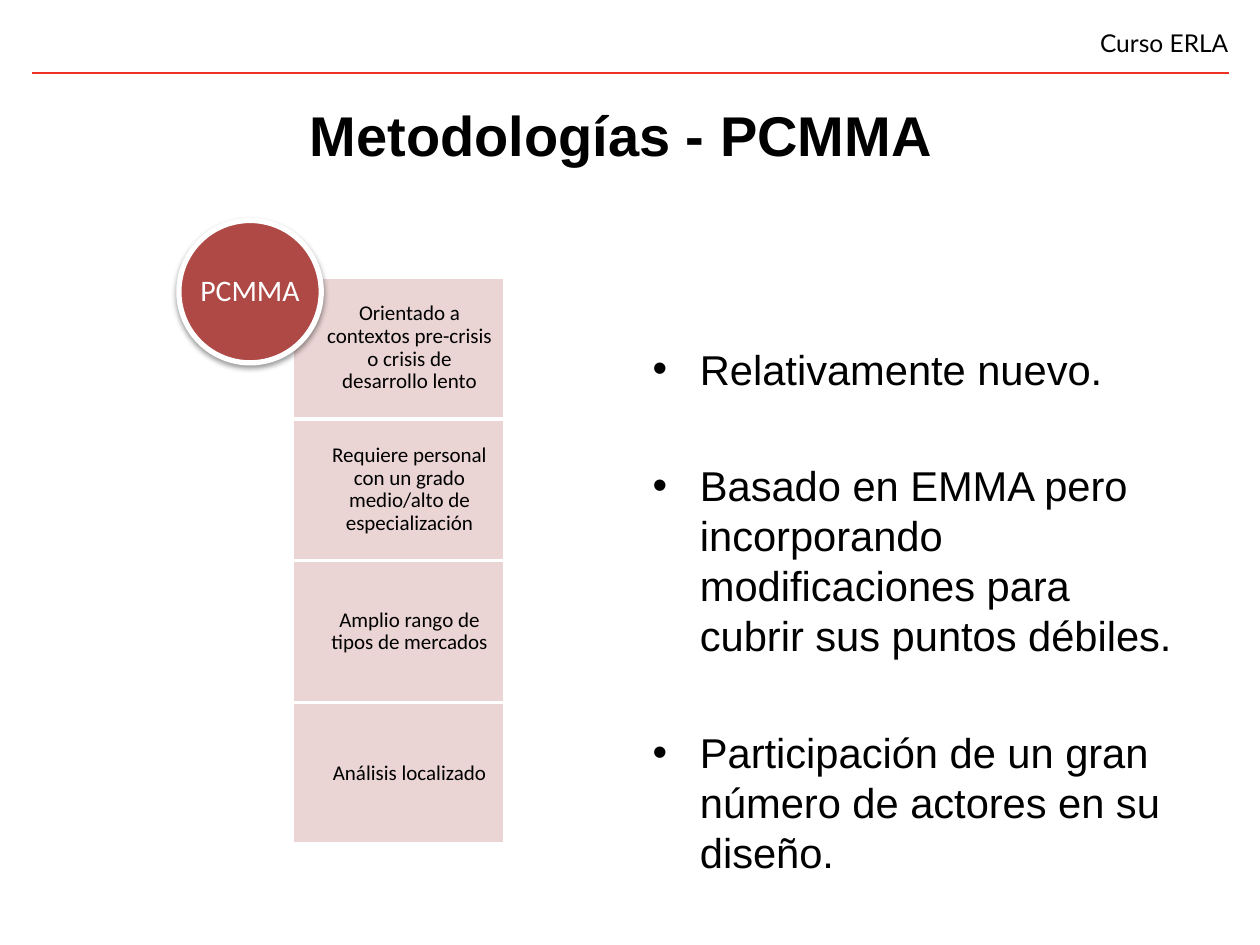
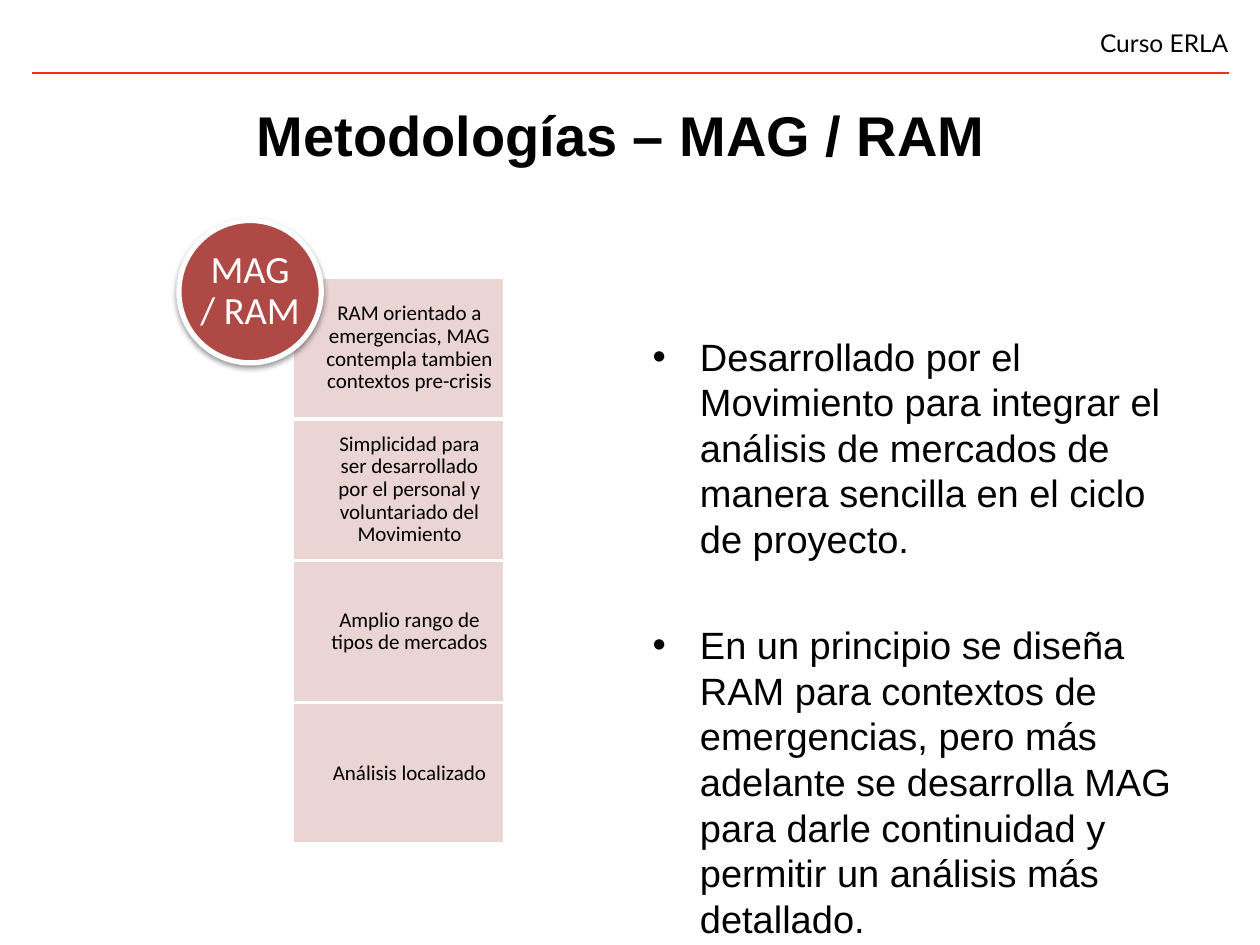
from pptx import Presentation
from pptx.dml.color import RGBColor
from pptx.enum.shapes import MSO_CONNECTOR, MSO_SHAPE
from pptx.enum.text import MSO_ANCHOR, MSO_AUTO_SIZE, PP_ALIGN
from pptx.oxml.ns import qn
from pptx.util import Inches, Pt
from lxml.etree import SubElement

BLACK = RGBColor(0x00, 0x00, 0x00)
WHITE = RGBColor(0xFF, 0xFF, 0xFF)
RED = RGBColor(0xEE, 0x31, 0x24)
BRICK = RGBColor(0xAE, 0x49, 0x46)
PINK = RGBColor(0xE8, 0xD0, 0xD0)

STACK_TOP = 2.2
STEP = 1.125

SLIDES = [
    {
        "title": "Metodologías - PCMMA",
        "badge": ("PCMMA", 17),
        "traits": [
            "Orientado a contextos pre-crisis o crisis de desarrollo lento",
            "Requiere personal con un grado medio/alto de especialización",
            "Amplio rango de tipos de mercados",
            "Análisis localizado",
        ],
        "size": 23.8,
        "points": [
            "Relativamente nuevo.",
            "Basado en EMMA pero incorporando modificaciones para cubrir "
            "sus puntos débiles.",
            "Participación de un gran número de actores en su diseño.",
        ],
    },
    {
        "title": "Metodologías – MAG / RAM",
        "badge": ("MAG / RAM", 22),
        "traits": [
            "RAM orientado a emergencias, MAG contempla tambien contextos "
            "pre-crisis",
            "Simplicidad para ser desarrollado por el personal y voluntariado "
            "del Movimiento",
            "Amplio rango de tipos de mercados",
            "Análisis localizado",
        ],
        "size": 21.7,
        "points": [
            "Desarrollado por el Movimiento para integrar el análisis de "
            "mercados de manera sencilla en el ciclo de proyecto.",
            "En un principio se diseña RAM para contextos de emergencias, pero "
            "más adelante se desarrolla MAG para darle continuidad y permitir "
            "un análisis más detallado.",
        ],
    },
]


def place(shape, left, top, width, height):
    shape.left, shape.top = Inches(left), Inches(top)
    shape.width, shape.height = Inches(width), Inches(height)


def inset(frame, left, top, right, bottom):
    frame.margin_left, frame.margin_top = Inches(left), Inches(top)
    frame.margin_right, frame.margin_bottom = Inches(right), Inches(bottom)


def style(para, name, size, color=BLACK, align=None, bold=None):
    para.alignment = align
    font = para.font
    font.name, font.size, font.bold = name, Pt(size), bold
    font.color.rgb = color


def add_header(slide):
    rule = slide.shapes.add_connector(
        MSO_CONNECTOR.STRAIGHT,
        Inches(9.75), Inches(0.58), Inches(0.25), Inches(0.58))
    rule.line.color.rgb = RED
    rule.line.width = Pt(1.5)
    SubElement(rule._element.spPr, qn("a:effectLst"))

    box = slide.shapes.add_textbox(
        Inches(4.5), Inches(0.17), Inches(5.25), Inches(0.33))
    frame = box.text_frame
    frame.word_wrap = True
    inset(frame, 0, 0.05, 0, 0.05)
    frame.text = "Curso ERLA"
    style(frame.paragraphs[0], "Lato", 14, align=PP_ALIGN.RIGHT)


def add_title(slide, text):
    title = slide.shapes.title
    place(title, 0.43, 0.44, 9, 1.25)
    frame = title.text_frame
    frame.vertical_anchor = MSO_ANCHOR.MIDDLE
    frame.text = text
    style(frame.paragraphs[0], "Arial", 32, align=PP_ALIGN.CENTER, bold=True)


def add_points(slide, points, size):
    """Fill the body list, set two lines below the top of its box."""
    body = slide.placeholders[1]
    place(body, 5.08, 1.75, 4.42, 4.95)
    frame = body.text_frame
    frame.auto_size = MSO_AUTO_SIZE.NONE
    frame.vertical_anchor = MSO_ANCHOR.TOP
    frame.margin_top = Inches(0.05) + Pt(2.8 * size)
    frame.text = "\n".join(points)
    for i, para in enumerate(frame.paragraphs):
        style(para, "Arial", size)
        para.line_spacing = Pt(1.2 * size)
        para.space_before = Pt(1.6 * size if i else 0)


def add_label(slide, kind, box, fill, edge, text, size, color):
    """Add a white-edged shape with centred text."""
    shape = slide.shapes.add_shape(kind, *map(Inches, box))
    shape.shadow.inherit = False
    shape.fill.solid()
    shape.fill.fore_color.rgb = fill
    shape.line.color.rgb = WHITE
    shape.line.width = Pt(edge)
    frame = shape.text_frame
    frame.word_wrap = True
    frame.vertical_anchor = MSO_ANCHOR.MIDDLE
    frame.text = text
    para = frame.paragraphs[0]
    style(para, "Calibri", size, color, PP_ALIGN.CENTER)
    para.line_spacing = 0.9
    return shape


def set_alpha(color, percent):
    SubElement(color, qn("a:alpha"), val=str(percent * 1000))


def add_trait(slide, row, text):
    box = (2.32, STACK_TOP + row * STEP, 1.69, STEP)
    shape = add_label(slide, MSO_SHAPE.RECTANGLE, box, PINK, 2, text, 12, BLACK)
    inset(shape.text_frame, 0.26, 0.09, 0.09, 0.09)
    fill = shape._element.spPr.find(qn("a:solidFill"))
    set_alpha(fill[0], 90)


def add_badge(slide, text, size):
    box = (1.42, 1.75, 1.13, 1.13)
    shape = add_label(slide, MSO_SHAPE.OVAL, box, BRICK, 3, text, size, WHITE)
    inset(shape.text_frame, 0, 0, 0, 0)
    glow = SubElement(
        shape._element.spPr.find(qn("a:effectLst")), qn("a:outerShdw"),
        blurRad=str(Pt(3.1)), dist=str(Pt(1.6)), dir="5400000", rotWithShape="0")
    set_alpha(SubElement(glow, qn("a:srgbClr"), val=str(BLACK)), 38)


def main():
    deck = Presentation()
    deck.slide_width, deck.slide_height = Inches(10), Inches(7.5)
    for data in SLIDES:
        slide = deck.slides.add_slide(deck.slide_layouts[1])
        add_header(slide)
        add_title(slide, data["title"])
        for row, text in enumerate(data["traits"]):
            add_trait(slide, row, text)
        add_badge(slide, *data["badge"])
        add_points(slide, data["points"], data["size"])
    deck.save("out.pptx")


if __name__ == "__main__":
    main()
